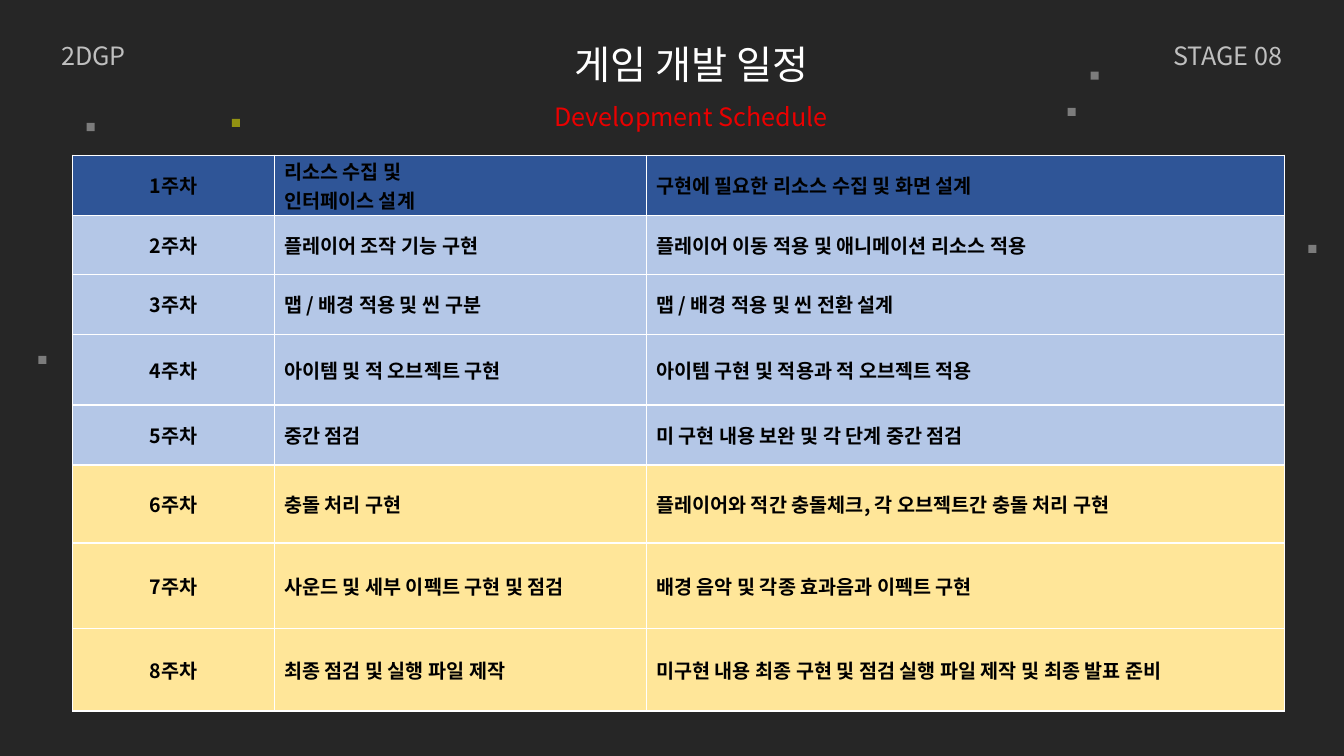
"""Build the game development schedule slide."""
from dataclasses import dataclass

from lxml.etree import SubElement
from pptx import Presentation
from pptx.dml.color import RGBColor
from pptx.enum.shapes import MSO_SHAPE
from pptx.enum.text import MSO_ANCHOR, MSO_AUTO_SIZE, PP_ALIGN
from pptx.oxml.ns import qn
from pptx.slide import Slide
from pptx.table import _Cell
from pptx.text.text import TextFrame
from pptx.util import Emu, Inches, Pt

WIDE, HIGH = Inches(13.333), Inches(7.5)


@dataclass(frozen=True)
class Theme:
    font: str = "Noto Sans CJK KR"
    back: str = "262626"
    white: str = "FFFFFF"
    black: str = "000000"
    gray: str = "BFBFBF"
    red: str = "EA0000"
    yellow: str = "FFFF00"
    navy: str = "2F5597"
    blue: str = "B4C7E7"
    cream: str = "FFE699"
    title: int = 28
    label: int = 18
    body: int = 14


@dataclass(frozen=True)
class Label:
    text: str
    left: float
    top: float
    width: float
    height: float
    size: int
    color: str
    align: PP_ALIGN = PP_ALIGN.CENTER
    wrap: bool = True


@dataclass(frozen=True)
class Spark:
    left: float
    top: float
    color: str
    alpha: int


@dataclass(frozen=True)
class Week:
    task: str
    detail: str
    fill: str
    height: float


LOOK = Theme()

LABELS = [
    Label("게임 개발 일정", 26.1, 4.67, 50.7, 7.6, LOOK.title, LOOK.white),
    Label("Development Schedule", 35.1, 12.8, 32.63, 5.33, LOOK.label, LOOK.red),
    Label("2DGP", 3.83, 4.67, 6.3, 5.33, LOOK.label, LOOK.gray, PP_ALIGN.LEFT, False),
    Label("STAGE 08", 86.48, 4.67, 9.68, 5.33, LOOK.label, LOOK.gray, PP_ALIGN.RIGHT, False),
]

SPARKS = [
    Spark(17.25, 15.73, LOOK.yellow, 50),
    Spark(81.15, 9.47, LOOK.white, 40),
    Spark(79.43, 14.27, LOOK.white, 40),
    Spark(6.45, 16.27, LOOK.white, 40),
    Spark(2.85, 47.07, LOOK.white, 40),
    Spark(97.35, 32.4, LOOK.white, 40),
]

WEEKS = [
    Week("리소스 수집 및\n인터페이스 설계", "구현에 필요한 리소스 수집 및 화면 설계", LOOK.navy, 7.95),
    Week("플레이어 조작 기능 구현", "플레이어 이동 적용 및 애니메이션 리소스 적용", LOOK.blue, 7.8),
    Week("맵 / 배경 적용 및 씬 구분", "맵 / 배경 적용 및 씬 전환 설계", LOOK.blue, 7.95),
    Week("아이템 및 적 오브젝트 구현", "아이템 구현 및 적용과 적 오브젝트 적용", LOOK.blue, 9.35),
    Week("중간 점검", "미 구현 내용 보완 및 각 단계 중간 점검", LOOK.blue, 7.95),
    Week("충돌 처리 구현", "플레이어와 적간 충돌체크, 각 오브젝트간 충돌 처리 구현", LOOK.cream, 10.3),
    Week("사운드 및 세부 이펙트 구현 및 점검", "배경 음악 및 각종 효과음과 이펙트 구현", LOOK.cream, 11.3),
    Week("최종 점검 및 실행 파일 제작",
         "미구현 내용 최종 구현 및 점검 실행 파일 제작 및 최종 발표 준비", LOOK.cream, 10.95),
]
COLUMNS = [15, 27.68, 47.48]


def across(share: float) -> Emu:
    return Emu(round(WIDE * share / 100))


def down(share: float) -> Emu:
    return Emu(round(HIGH * share / 100))


def tint(code: str) -> RGBColor:
    return RGBColor.from_string(code)


def write(frame: TextFrame, text: str, *, size: int, color: str,
          align: PP_ALIGN, bold: bool = False) -> None:
    for spot, line in enumerate(text.split("\n")):
        para = frame.add_paragraph() if spot else frame.paragraphs[0]
        para.alignment = align
        run = para.add_run()
        run.text = line
        font = run.font
        font.name, font.size, font.bold = LOOK.font, Pt(size), bold
        font.color.rgb = tint(color)
        SubElement(run._r.get_or_add_rPr(), qn("a:ea"), typeface=LOOK.font)


def draw_label(slide: Slide, label: Label) -> None:
    box = slide.shapes.add_textbox(across(label.left), down(label.top),
                                   across(label.width), down(label.height))
    frame = box.text_frame
    frame.word_wrap = label.wrap
    frame.auto_size = MSO_AUTO_SIZE.SHAPE_TO_FIT_TEXT
    write(frame, label.text, size=label.size, color=label.color, align=label.align)


def draw_spark(slide: Slide, spark: Spark) -> None:
    side = across(0.6)
    shape = slide.shapes.add_shape(MSO_SHAPE.RECTANGLE, across(spark.left),
                                   down(spark.top), side, side)
    shape.shadow.inherit = False
    shape.line.fill.background()
    shape.fill.solid()
    shape.fill.fore_color.rgb = tint(spark.color)
    color = shape._element.spPr.find(".//" + qn("a:srgbClr"))
    SubElement(color, qn("a:alpha"), val=str(spark.alpha * 1000))


def frame_cell(cell: _Cell, color: str) -> None:
    props = cell._tc.get_or_add_tcPr()
    for side in "LRTB":
        line = SubElement(props, qn(f"a:ln{side}"), w=str(Pt(1)))
        SubElement(SubElement(line, qn("a:solidFill")), qn("a:srgbClr"), val=color)


def draw_cell(cell: _Cell, text: str, fill: str, align: PP_ALIGN) -> None:
    cell.margin_top = cell.margin_bottom = down(0.1)
    cell.vertical_anchor = MSO_ANCHOR.MIDDLE
    frame_cell(cell, LOOK.white)
    cell.fill.solid()
    cell.fill.fore_color.rgb = tint(fill)
    write(cell.text_frame, text, size=LOOK.body, color=LOOK.black, align=align, bold=True)


def draw_weeks(slide: Slide, weeks: list[Week]) -> None:
    height = sum(week.height for week in weeks)
    table = slide.shapes.add_table(len(weeks), len(COLUMNS), across(5.4), down(20.53),
                                   across(sum(COLUMNS)), down(height)).table
    table.first_row = table.horz_banding = False
    for column, width in zip(table.columns, COLUMNS):
        column.width = across(width)
    for row, week in enumerate(weeks):
        table.rows[row].height = down(week.height)
        for col, text in enumerate((f"{row + 1}주차", week.task, week.detail)):
            align = PP_ALIGN.JUSTIFY if col else PP_ALIGN.CENTER
            draw_cell(table.cell(row, col), text, week.fill, align)


def main() -> None:
    deck = Presentation()
    deck.slide_width, deck.slide_height = WIDE, HIGH
    slide = deck.slides.add_slide(deck.slide_layouts[6])
    slide.background.fill.solid()
    slide.background.fill.fore_color.rgb = tint(LOOK.back)
    for spark in SPARKS:
        draw_spark(slide, spark)
    for label in LABELS:
        draw_label(slide, label)
    draw_weeks(slide, WEEKS)
    deck.save("out.pptx")


if __name__ == "__main__":
    main()
